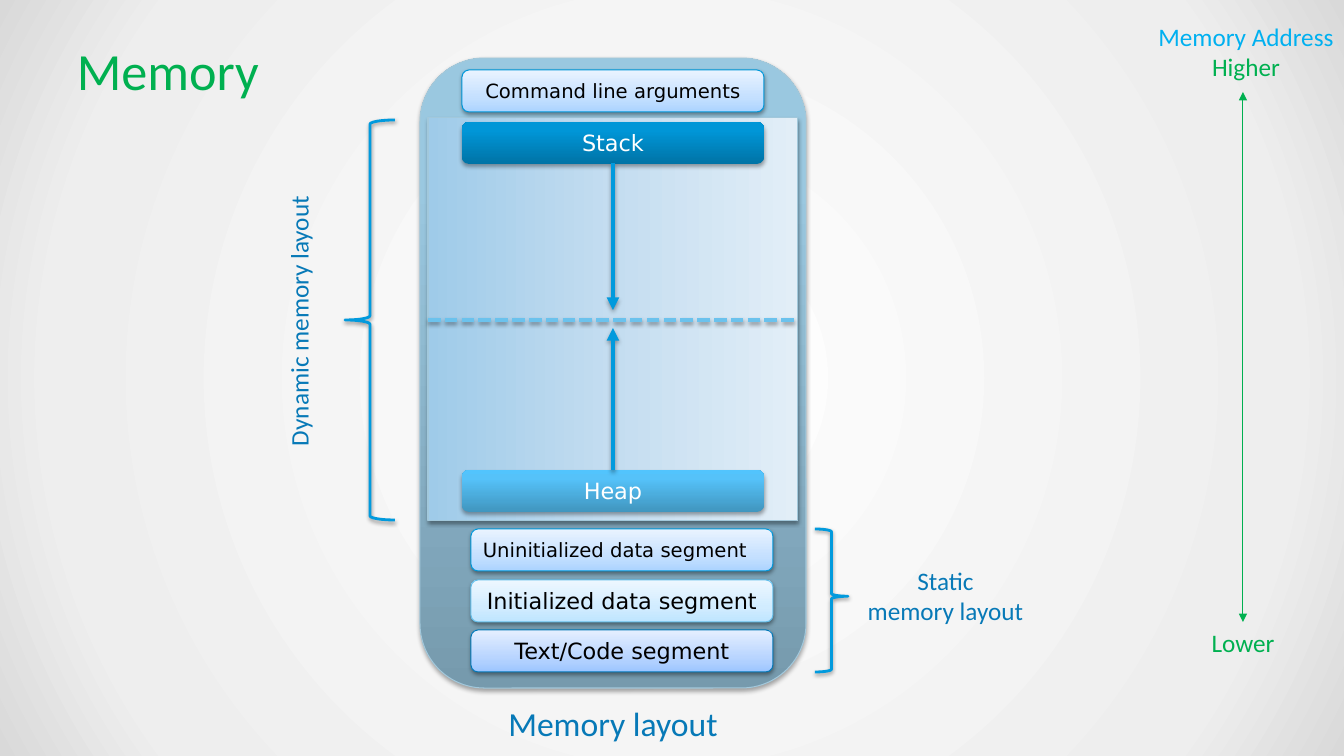
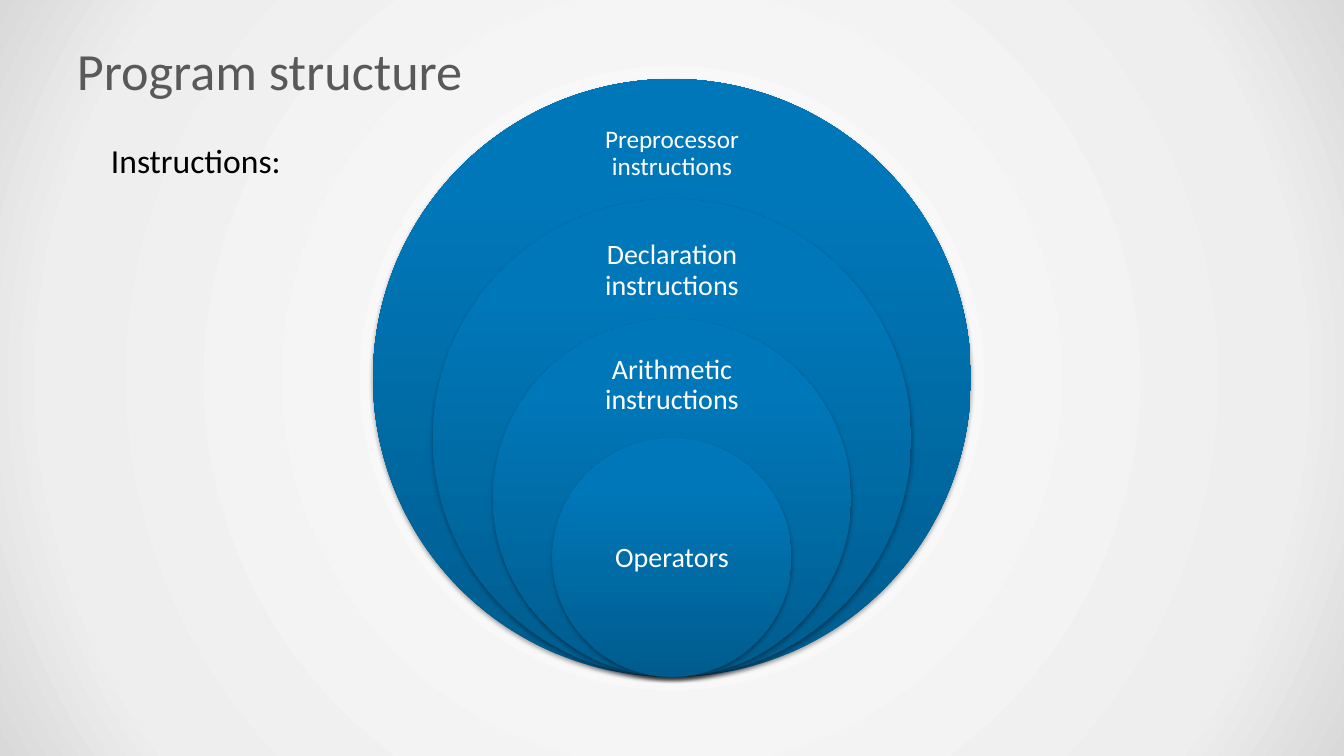
"""Build two slides on memory layout and program structure."""
from lxml import etree
from pptx import Presentation
from pptx.dml.color import RGBColor
from pptx.enum.dml import MSO_LINE
from pptx.enum.shapes import MSO_CONNECTOR, MSO_SHAPE
from pptx.enum.text import MSO_ANCHOR, PP_ALIGN
from pptx.oxml import parse_xml
from pptx.oxml.ns import nsdecls, qn
from pptx.util import Pt

ROUND, RECT = MSO_SHAPE.ROUNDED_RECTANGLE, MSO_SHAPE.RECTANGLE
BRACE, OVAL = MSO_SHAPE.LEFT_BRACE, MSO_SHAPE.OVAL
LEFT, MID = PP_ALIGN.LEFT, PP_ALIGN.CENTER
TOP, CORE = MSO_ANCHOR.TOP, MSO_ANCHOR.MIDDLE
WIRE, DASH = MSO_CONNECTOR.STRAIGHT, MSO_LINE.SQUARE_DOT

WHITE, BLACK = RGBColor(255, 255, 255), RGBColor(0, 0, 0)
GREEN, GREY = RGBColor(0, 0xB0, 0x50), RGBColor(0x59, 0x59, 0x59)
BLUE, SKY = RGBColor(0x07, 0x79, 0xB7), RGBColor(0, 0xB0, 0xF0)
EDGE, RULE = RGBColor(0xA2, 0xC8, 0xDB), RGBColor(0x6B, 0xC2, 0xED)
INK, RIM = RGBColor(0x01, 0x9A, 0xDD), RGBColor(0, 0x97, 0xD9)
DEEP, PALE = RGBColor(0x03, 0x78, 0xB7), RGBColor(0x65, 0xBF, 0xEB)

SANS, MONO = "Calibri", "DejaVu Sans"
PIXEL = 914400 / 100.8
WIDE, HIGH = 1344, 756
STRONG, SOFT = (35, 1.8), (38, 1.6)

BACK = [(0, "FFFFFF"), (81, "EEEEEE"), (100, "D9D9D9")]
BODY = [(0, "769AAD"), (80, "9AC8E0"), (100, "99CAE3")]
PANE = [(0, "9FCBE9"), (50, "C4DDF0"), (100, "E2EEF7")]
CODE = [(0, "9CC5FF"), (35, "B9D5FF"), (100, "E5EFFF")]
DATA = [(0, "BFE5FF"), (35, "D1ECFF"), (100, "EDF7FF")]
ARGS = [(0, "ACD4FF"), (35, "C5E0FF"), (100, "E9F3FF")]
HEAP = [(0, "4196BF"), (80, "55C2F9"), (100, "52C4FD")]
STACK = [(0, "0073A6"), (80, "0096D7"), (100, "0096D8")]
DISC = [(0, "005C8E"), (80, "0077B8"), (100, "0078B9")]

BARS = [
    ("Text/Code segment", 471, 630, CODE, DEEP, 16, BLACK, MID),
    ("Initialized data segment", 471, 580, DATA, PALE, 16, BLACK, MID),
    ("Heap", 462, 470, HEAP, None, 16, WHITE, MID),
    ("Uninitialized data segment", 471, 529, ARGS, RIM, 14, BLACK, LEFT),
    ("Stack", 462, 122, STACK, None, 16, WHITE, MID),
    ("Command line arguments", 462, 70, ARGS, RIM, 14, BLACK, MID),
]
BRACES = [((345, 120, 50, 400), 0, 0.5), ((815, 529, 33, 143), 180, 0.53)]
NOTES = [
    ([("Memory layout", BLUE)], (497, 698, 232, 50), 24, 0),
    ([("Dynamic memory layout", BLUE)], (162, 301, 273, 40), 18, 270),
    ([("Static", BLUE), ("memory layout", BLUE)], (857, 560, 177, 72), 18, 0),
    ([("Memory Address", SKY), ("Higher", GREEN)], (1148, 16, 196, 72), 18, 0),
    ([("Lower", GREEN)], (1201, 622, 84, 40), 18, 0),
]
LINES = [
    ((428, 320, 798, 320), RULE, 3, (), STRONG),
    ((613, 163, 613, 310), INK, 3, ("tail",), STRONG),
    ((613, 470, 613, 328), INK, 3, ("tail",), STRONG),
    ((1243, 92, 1243, 622), GREEN, 0.75, ("head", "tail"), None),
]
RINGS = [
    ("Preprocessor instructions", 109, 90, 18, 14),
    ("Declaration instructions", 228, 86, 20, 16),
    ("Arithmetic instructions", 345, 81, 20, 16),
    ("Operators", 498, 120, 20, 16),
]
RING, BASE = 598, 677


def px(num):
    """Turn pixels into EMU."""
    return round(num * PIXEL)


def blend(node, stops, turn=None):
    """Swap the gradient in a node for one with these stops."""
    marks = "".join(
        f'<a:gs pos="{pos * 1000}"><a:srgbClr val="{tint}"/></a:gs>'
        for pos, tint in stops)
    if turn is None:
        way = ('<a:path path="circle"><a:fillToRect l="50000" t="50000" '
               'r="50000" b="50000"/></a:path>')
    else:
        way = f'<a:lin ang="{turn * 60000}" scaled="0"/>'
    old = node.find(".//" + qn("a:gradFill"))
    old.getparent().replace(old, parse_xml(
        f'<a:gradFill {nsdecls("a")} rotWithShape="1">'
        f'<a:gsLst>{marks}</a:gsLst>{way}</a:gradFill>'))


def shade(effect, cast):
    """Add an outer shadow to an effect list."""
    alpha, dist = cast
    effect.append(parse_xml(
        f'<a:outerShdw {nsdecls("a")} blurRad="{Pt(3.1)}" dist="{Pt(dist)}" '
        f'dir="5400000" rotWithShape="0"><a:srgbClr val="000000">'
        f'<a:alpha val="{alpha * 1000}"/></a:srgbClr></a:outerShdw>'))


def write(frame, rows, size, face=SANS, align=MID, anchor=CORE, wrap=True,
          **more):
    """Fill a text frame with coloured rows."""
    look = {"word_wrap": wrap, "vertical_anchor": anchor}
    for key, val in {**look, **more}.items():
        setattr(frame, key, val)
    for num, (words, tint) in enumerate(rows):
        para = frame.add_paragraph() if num else frame.paragraphs[0]
        para.text = words
        para.alignment = align
        for key, val in {"name": face, "size": Pt(size)}.items():
            setattr(para.font, key, val)
        para.font.color.rgb = tint
    return frame


def label(slide, rows, spot, size, turn=0, **more):
    """Add a text box."""
    box = slide.shapes.add_textbox(*map(px, spot))
    box.rotation = turn
    return write(box.text_frame, rows, size, **more)


def draw(slide, kind, spot, stops=None, turn=270, edge=None, wide=0.75,
         cast=STRONG):
    """Add a shape with its fill, line and shadow."""
    shape = slide.shapes.add_shape(kind, *map(px, spot))
    if stops:
        shape.fill.gradient()
        blend(shape.element, stops, turn)
    else:
        shape.fill.background()
    if edge:
        shape.line.color.rgb = edge
        shape.line.width = Pt(wide)
    else:
        shape.line.fill.background()
    shape.shadow.inherit = False
    shade(shape.element.find(".//" + qn("a:effectLst")), cast)
    return shape


def link(slide, ends, tint, wide, tips, cast):
    """Add a line, dashed when it has no arrowheads."""
    wire = slide.shapes.add_connector(WIRE, *map(px, ends))
    wire.line.color.rgb = tint
    wire.line.width = Pt(wide)
    if not tips:
        wire.line.dash_style = DASH
    stroke = wire.element.find(".//" + qn("a:ln"))
    for tip in tips:
        etree.SubElement(stroke, qn(f"a:{tip}End"), type="triangle")
    effect = etree.SubElement(stroke.getparent(), qn("a:effectLst"))
    if cast:
        shade(effect, cast)


def start(deck, title, tint):
    """Add a slide with the shared background and title."""
    slide = deck.slides.add_slide(deck.slide_layouts[6])
    slide.background.fill.gradient()
    blend(slide.element, BACK)
    label(slide, [(title, tint)], (67, 30, 1210, 79), 37.3, align=LEFT)
    return slide


def memory(deck):
    """Build the memory slide."""
    slide = start(deck, "Memory", GREEN)
    draw(slide, ROUND, (420, 58, 386, 630), BODY, edge=EDGE)
    draw(slide, RECT, (428, 118, 370, 403), PANE, 0, EDGE, cast=SOFT)
    for words, left, top, stops, edge, size, tint, align in BARS:
        bar = draw(slide, ROUND, (left, top, 302, 42), stops, edge=edge,
                   cast=SOFT if edge else STRONG)
        write(bar.text_frame, [(words, tint)], size, MONO, align)
    for spot, turn, peak in BRACES:
        brace = draw(slide, BRACE, spot, edge=INK, wide=2, cast=SOFT)
        brace.rotation = turn
        brace.adjustments[1] = peak
    for rows, spot, size, turn in NOTES:
        label(slide, rows, spot, size, turn, anchor=TOP, wrap=False)
    for line in LINES:
        link(slide, *line)


def program(deck):
    """Build the program structure slide."""
    slide = start(deck, "Program structure", GREY)
    label(slide, [("Instructions:", BLACK)], (101, 135, 1192, 173), 24,
          align=LEFT, anchor=TOP)
    for num, (words, top, high, size, pad) in enumerate(RINGS):
        side = RING * (5 - num) // 5
        draw(slide, OVAL, ((WIDE - side) / 2, BASE - side, side, side), DISC)
        sides = ("left", "top", "right", "bottom")
        frame = label(slide, [(words, WHITE)], (588, top, 168, high), size,
                      **{f"margin_{edge}": px(pad) for edge in sides})
        frame.paragraphs[0].line_spacing = 0.9


def main():
    """Build and save the deck."""
    deck = Presentation()
    deck.slide_width, deck.slide_height = px(WIDE), px(HIGH)
    memory(deck)
    program(deck)
    deck.save("out.pptx")


if __name__ == "__main__":
    main()
